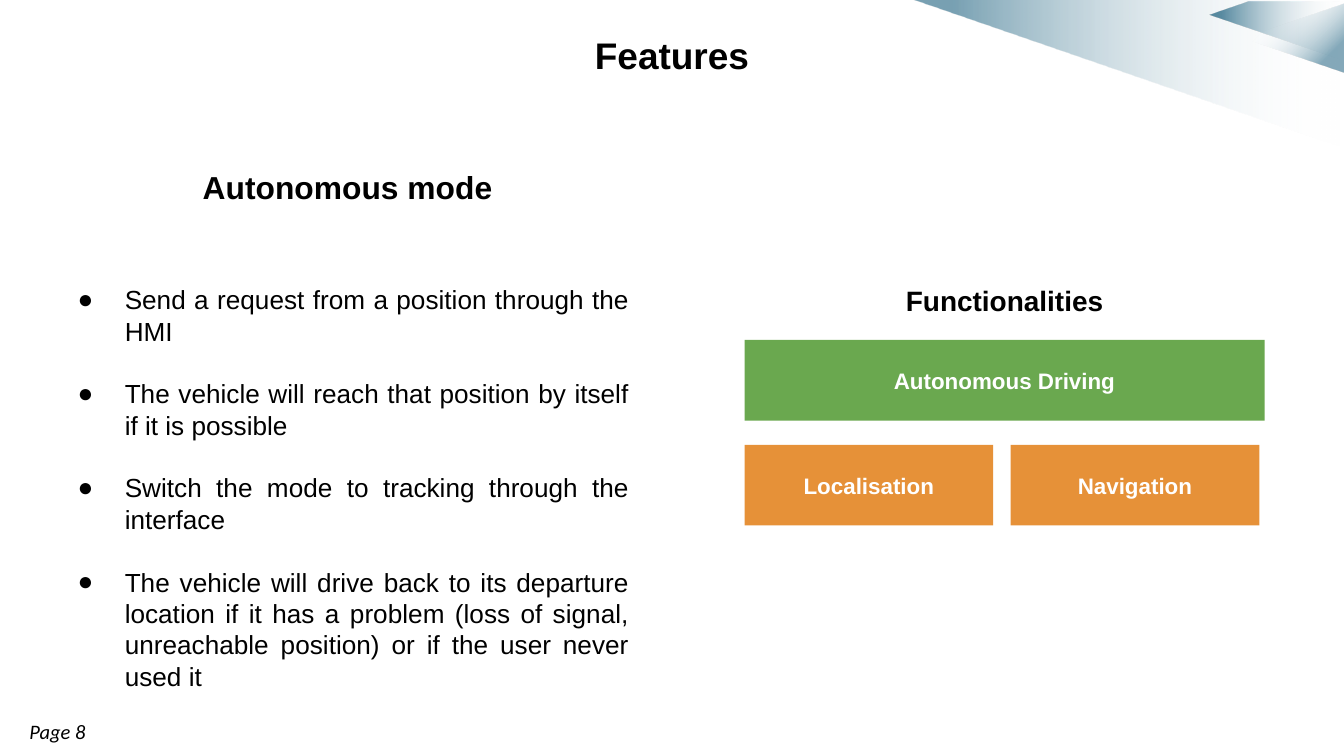
from lxml import etree
from pptx import Presentation
from pptx import util as u
from pptx.dml.color import RGBColor
from pptx.enum import shapes, text
from pptx.oxml.ns import qn

TEAL, WHITE, BLACK = "004D6F", "FFFFFF", "000000"
GREEN, ORANGE = "6AA84F", "E69138"
CENTER, JUSTIFY = text.PP_ALIGN.CENTER, text.PP_ALIGN.JUSTIFY
MIDDLE, TOP = text.MSO_ANCHOR.MIDDLE, text.MSO_ANCHOR.TOP
STEPS = [
    "Send a request from a position through the HMI",
    "The vehicle will reach that position by itself if it is possible",
    "Switch the mode to tracking through the interface",
    "The vehicle will drive back to its departure location if it has a problem "
    "(loss of signal, unreachable position) or if the user never used it",
]


def color(value):
    return RGBColor.from_string(value)


def add_node(parent, tag, **attributes):
    return etree.SubElement(parent, qn(tag), attributes)


def fade(shape, stops, angle):
    shape.shadow.inherit = False
    shape.line.fill.background()
    shape.fill.background()
    empty = shape.element.spPr.find(qn("a:noFill"))
    gradient = etree.Element(qn("a:gradFill"), rotWithShape="1")
    stop_list = add_node(gradient, "a:gsLst")
    for position, value, opacity in stops:
        stop = add_node(stop_list, "a:gs", pos=str(position * 1000))
        tint = add_node(stop, "a:srgbClr", val=value)
        add_node(tint, "a:alpha", val=str(opacity * 1000))
    add_node(gradient, "a:lin", ang=str(angle * 60000), scaled="0")
    empty.getparent().replace(empty, gradient)


def add_wedge(page, points, opacity):
    corners = [(u.Inches(x), u.Inches(y)) for x, y in points]
    builder = page.shapes.build_freeform(*corners[0])
    builder.add_line_segments(corners[1:], close=True)
    stops = [(0, TEAL, opacity), (9, TEAL, opacity), (99, WHITE, 0), (100, WHITE, 0)]
    fade(builder.convert_to_shape(), stops, 0)


def add_corner(page):
    add_wedge(page, [(9.99, 1.1), (6.79, 0), (10, 0)], 53)
    add_wedge(page, [(10, 0.45), (9, 0.11), (9.29, 0.01), (10, 0.01)], 63)
    triangle = page.shapes.add_shape(
        shapes.MSO_SHAPE.ISOSCELES_TRIANGLE,
        u.Inches(9.37), u.Inches(-0.09), u.Inches(0.51), u.Inches(0.75))
    triangle.rotation = 270
    fade(triangle, [(0, WHITE, 0), (27, WHITE, 0), (81, TEAL, 48), (100, TEAL, 48)], 135)


def add_bullet(para, size):
    props = para._p.get_or_add_pPr()
    props.set("marL", str(u.Inches(0.5)))
    props.set("indent", str(u.Inches(-0.35)))
    tint = add_node(props, "a:buClr")
    add_node(tint, "a:srgbClr", val=BLACK)
    add_node(props, "a:buSzPts", val=str(size * 100))
    add_node(props, "a:buFont", typeface="Arial")
    add_node(props, "a:buChar", char="●")


def write(box, lines, size, font="Arial", fill=BLACK, bold=False, italic=False,
          align=None, anchor=TOP, inset=0.1, spacing=None, gap=0, after=0, bullets=False):
    frame = box.text_frame
    frame.word_wrap = True
    frame.vertical_anchor = anchor
    frame.margin_left = frame.margin_right = u.Inches(0.1)
    frame.margin_top = frame.margin_bottom = u.Inches(inset)
    for index, line in enumerate(lines):
        para = frame.add_paragraph() if index else frame.paragraphs[0]
        para.alignment = align
        para.line_spacing = spacing
        para.space_before = u.Pt(gap if index else 0)
        para.space_after = u.Pt(after)
        if bullets:
            add_bullet(para, size)
        span = para.add_run()
        span.text = line
        span.font.name, span.font.size = font, u.Pt(size)
        span.font.bold, span.font.italic = bold, italic
        span.font.color.rgb = color(fill)


def add_text(page, left, top, width, height, lines, size, **style):
    box = page.shapes.add_textbox(
        u.Inches(left), u.Inches(top), u.Inches(width), u.Inches(height))
    write(box, lines, size, **style)


def add_block(page, left, top, width, label, fill):
    box = page.shapes.add_shape(
        shapes.MSO_SHAPE.RECTANGLE,
        u.Inches(left), u.Inches(top), u.Inches(width), u.Inches(0.6))
    box.shadow.inherit = False
    box.fill.solid()
    box.fill.fore_color.rgb = color(fill)
    box.line.fill.background()
    write(box, [label], 12, fill=WHITE, bold=True, align=CENTER, anchor=MIDDLE)


def main():
    deck = Presentation()
    deck.slide_width = u.Inches(10)
    deck.slide_height = deck.slide_width * 9 // 16
    page = deck.slides.add_slide(deck.slide_layouts[6])
    add_corner(page)
    add_text(page, 0.12, 5.3, 2.68, 0.29, ["Page 8"], 11,
             font="Calibri", italic=True, inset=0.05)
    add_text(page, 1.41, 1.07, 7.99, 0.5, ["Autonomous mode"], 17,
             bold=True, anchor=MIDDLE, inset=0.05, spacing=1.5, after=12)
    add_text(page, 2.48, 0.14, 5.04, 0.35, ["Features"], 19.8,
             bold=True, align=CENTER, inset=0.05, spacing=1.15, after=12)
    add_text(page, 0.33, 2.01, 4.45, 3.26, STEPS, 14,
             align=JUSTIFY, gap=16.8, bullets=True)
    add_text(page, 5.82, 2.01, 3.31, 0.35, ["Functionalities"], 15,
             bold=True, align=CENTER)
    add_block(page, 5.54, 2.53, 3.87, "Autonomous Driving", GREEN)
    for column, label in enumerate(["Localisation", "Navigation"]):
        add_block(page, 5.54 + column * 1.98, 3.31, 1.85, label, ORANGE)
    deck.save("out.pptx")


if __name__ == "__main__":
    main()
